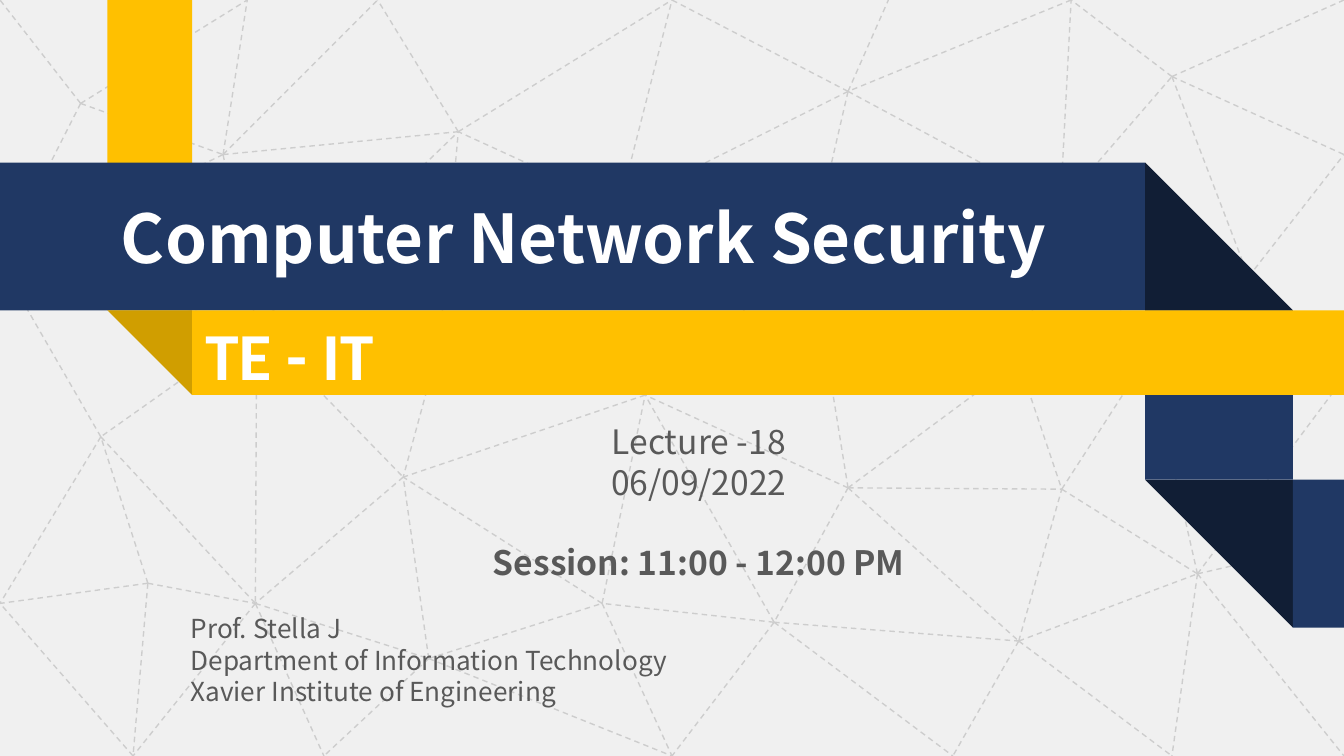
from typing import NamedTuple

from pptx import Presentation
from pptx.dml.color import RGBColor
from pptx.enum.dml import MSO_LINE
from pptx.enum.shapes import MSO_CONNECTOR, MSO_SHAPE
from pptx.enum.text import MSO_ANCHOR, MSO_AUTO_SIZE, PP_ALIGN
from pptx.oxml.ns import qn
from pptx.util import Inches, Pt

COLUMNS = 10  # square grid cells across the slide
BOTTOM = COLUMNS * 9 / 16  # a 16:9 slide
SLIDE_WIDTH = Inches(10)
SLIDE_HEIGHT = SLIDE_WIDTH * 9 // 16
UNIT = SLIDE_WIDTH // COLUMNS

PAPER, MESH = "F0F0F0", "CDCDCD"
NAVY, NAVY_FOLD = "203864", "111E35"
GOLD, GOLD_FOLD = "FFC000", "D09E00"
WHITE, GREY = "FFFFFF", "595959"
SANS = "Noto Sans CJK SC"


class Box(NamedTuple):
    """Left, top, width and height in grid columns."""
    left: float
    top: float
    width: float
    height: float


class Piece(NamedTuple):
    """One flat part of a ribbon."""
    kind: MSO_SHAPE
    box: Box
    color: str
    rotation: int = 0


class TextStyle(NamedTuple):
    size: int
    line_height: float
    color: str
    font: str = SANS
    bold: bool = False
    align: PP_ALIGN = PP_ALIGN.LEFT


NODES = {
    "A": (0, 0), "B": (1.84, 0), "C": (2.81, 0), "D": (5, 0),
    "E": (6.61, 0), "F": (7.97, 0), "G": (10, 0),
    "H": (0.6, 0.77), "I": (1.66, 1.15), "J": (3.41, 0.98),
    "K": (6.31, 0.68), "L": (8.72, 0.57), "M": (10, 1.15),
    "N": (0, 1.95), "O": (1.91, 2.43), "P": (3.27, 2.56), "Q": (4.61, 1.53),
    "R": (6.03, 1.89), "S": (7.89, 1.53), "T": (9.29, 2.06),
    "U": (0.75, 3.25), "V": (3, 3.55), "W": (4.8, 2.94), "X": (6.31, 3.63),
    "Y": (7.58, 2.69), "Z": (7.9, 3.64), "a": (8.54, 2.65), "b": (10, 2.81),
    "c": (0, 4.49), "d": (1.1, 4.34), "e": (1.9, 4.49), "f": (3.19, 4.9),
    "g": (4.48, 4.49), "h": (5.76, 4.63), "i": (7.58, 4.77),
    "j": (8.91, 4.27), "k": (10, 4.02),
    "l": (0.99, BOTTOM), "m": (2.41, BOTTOM), "n": (5, BOTTOM),
    "o": (7.09, BOTTOM), "p": (8.72, BOTTOM), "q": (10, BOTTOM),
}
# Each node with the nodes it is linked to
LINKS = {
    "I": "BNCJO", "O": "JNVeU", "P": "VWJQ", "V": "e", "U": "eNc",
    "d": "cUel", "e": "lfm", "l": "c", "f": "Vmgn", "g": "nVW",
    "W": "VQ", "Q": "JD", "J": "CD", "K": "DQRES", "R": "WY",
    "X": "WRhYZi", "h": "gnoWi", "Y": "SZ", "i": "oZpj", "S": "aLFT",
    "L": "FGMT", "T": "Mab", "Z": "ja", "j": "bqpak", "a": "b",
    "H": "BINA", "F": "K",
}

BAND_TOP, BAND_BOTTOM = 1.21, 2.31
FOLD = BAND_BOTTOM - BAND_TOP
FOLD_LEFT, FOLD_RIGHT = 8.52, 8.52 + FOLD
GOLD_LEFT, GOLD_WIDTH = 0.8, 0.63
GOLD_RIGHT = GOLD_LEFT + GOLD_WIDTH
LOWER_TOP = BAND_BOTTOM + 2 * GOLD_WIDTH

RECTANGLE, TRIANGLE = MSO_SHAPE.RECTANGLE, MSO_SHAPE.RIGHT_TRIANGLE
RIBBONS = [
    Piece(RECTANGLE, Box(FOLD_LEFT, BAND_BOTTOM, FOLD, 2 * GOLD_WIDTH), NAVY),
    Piece(TRIANGLE, Box(FOLD_LEFT, LOWER_TOP, FOLD, FOLD), NAVY_FOLD, 180),
    Piece(RECTANGLE, Box(FOLD_RIGHT, LOWER_TOP, COLUMNS - FOLD_RIGHT, FOLD), NAVY),
    Piece(RECTANGLE, Box(GOLD_LEFT, 0, GOLD_WIDTH, BAND_BOTTOM), GOLD),
    Piece(RECTANGLE, Box(0, BAND_TOP, FOLD_LEFT, FOLD), NAVY),
    Piece(TRIANGLE, Box(FOLD_LEFT, BAND_TOP, FOLD, FOLD), NAVY_FOLD),
    Piece(TRIANGLE, Box(GOLD_LEFT, BAND_BOTTOM, GOLD_WIDTH, GOLD_WIDTH), GOLD_FOLD, 180),
]
CLASS_BAND = Piece(
    RECTANGLE, Box(GOLD_RIGHT, BAND_BOTTOM, COLUMNS - GOLD_RIGHT, GOLD_WIDTH), GOLD)


def grid(value: float) -> int:
    return round(value * UNIT)


def paint(fill, color: str) -> None:
    fill.solid()
    fill.fore_color.rgb = RGBColor.from_string(color)


def draw_mesh(slide) -> None:
    for start, ends in LINKS.items():
        for end in ends:
            corners = [grid(value) for value in NODES[start] + NODES[end]]
            connector = slide.shapes.add_connector(MSO_CONNECTOR.STRAIGHT, *corners)
            paint(connector.line.fill, MESH)
            connector.line.width = Pt(0.75)
            connector.line.dash_style = MSO_LINE.DASH
            properties = connector._element.spPr
            properties.append(properties.makeelement(qn("a:effectLst"), {}))


def draw_piece(slide, piece: Piece):
    shape = slide.shapes.add_shape(piece.kind, *map(grid, piece.box))
    shape.rotation = piece.rotation
    shape.shadow.inherit = False
    paint(shape.fill, piece.color)
    shape.line.fill.background()
    return shape


def write(shape, text: str, style: TextStyle, anchor=MSO_ANCHOR.TOP) -> None:
    frame = shape.text_frame
    frame.text = text
    frame.word_wrap = True
    frame.auto_size = MSO_AUTO_SIZE.NONE
    frame.vertical_anchor = anchor
    for paragraph in frame.paragraphs:
        paragraph.alignment = style.align
        paragraph.line_spacing = Pt(style.line_height)
        paragraph.space_before = Pt(0)
        for run in paragraph.runs:
            font = run.font
            font.name, font.size, font.bold = style.font, Pt(style.size), style.bold
            font.color.rgb = RGBColor.from_string(style.color)


def place_on_top(slide, shape, box: Box) -> None:
    shape.left, shape.top, shape.width, shape.height = map(grid, box)
    slide.shapes._spTree.append(shape._element)


def main() -> None:
    presentation = Presentation()
    presentation.slide_width, presentation.slide_height = SLIDE_WIDTH, SLIDE_HEIGHT
    slide = presentation.slides.add_slide(presentation.slide_layouts[0])
    paint(slide.background.fill, PAPER)

    draw_mesh(slide)
    for piece in RIBBONS:
        draw_piece(slide, piece)

    title, session = slide.placeholders
    place_on_top(slide, title, Box(GOLD_LEFT, 1.4, 7.23, 0.71))
    write(title, "Computer Network Security", TextStyle(36, 44, WHITE, bold=True))

    class_band = draw_piece(slide, CLASS_BAND)
    write(class_band, "TE - IT", TextStyle(36, 44, WHITE, "Calibri", True),
          MSO_ANCHOR.MIDDLE)

    lecturer = slide.shapes.add_textbox(*map(grid, Box(1.32, 4.51, 4.06, 0.81)))
    write(lecturer,
          "Prof. Stella J\nDepartment of Information Technology\n"
          "Xavier Institute of Engineering",
          TextStyle(14, 16.8, GREY))

    place_on_top(slide, session, Box(3.23, 3.08, 3.94, 1.31))
    write(session, "Lecture -18\n06/09/2022\nSession: 11:00 - 12:00 PM",
          TextStyle(18, 21.8, GREY, align=PP_ALIGN.CENTER))
    time = session.text_frame.paragraphs[-1]
    time.space_before = Pt(21)
    time.runs[0].font.bold = True

    presentation.save("out.pptx")


if __name__ == "__main__":
    main()
